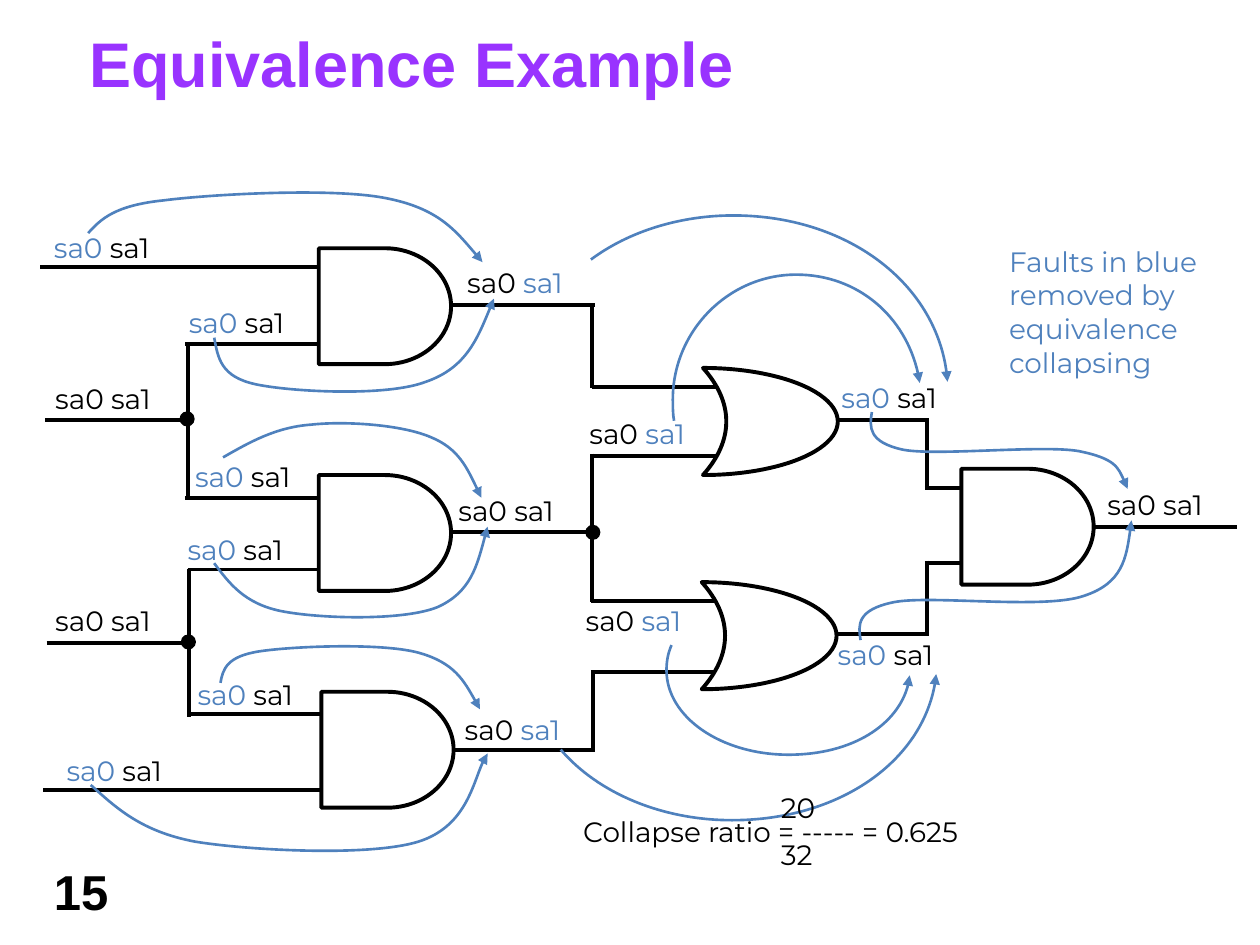
from lxml.etree import SubElement
from pptx import Presentation
from pptx.dml.color import RGBColor
from pptx.enum.shapes import MSO_CONNECTOR, MSO_SHAPE
from pptx.enum.text import MSO_ANCHOR, MSO_AUTO_SIZE, PP_ALIGN
from pptx.oxml.ns import qn
from pptx.util import Emu, Pt

PX = 9144  # EMU per px, 100 px to the inch
BLACK = RGBColor(0x00, 0x00, 0x00)
BLUE = RGBColor(0x4F, 0x81, 0xBD)
PURPLE = RGBColor(0x99, 0x33, 0xFF)
BODY_FONT, HEAD_FONT = "Montserrat", "Arial"

# Gates: left, top
AND_SIZE, OR_SIZE = (105, 92), (107, 85)
AND_GATES = [(253, 197), (253, 377), (255, 549), (763, 372)]
OR_GATES = [(558, 292), (557, 462)]

# Wires: from x, y to x, y
WIRES = [
    # Inputs
    (253, 212, 32, 212), (36, 333, 149, 333), (37, 510, 151, 510), (256, 627, 34, 627),
    # Input branches
    (149, 272, 149, 396), (147, 273, 254, 273), (147, 395, 254, 395),
    (150, 452, 150, 569), (149, 452, 254, 452), (149, 567, 255, 567),
    # First-level outputs to the OR gates
    (358, 242, 472, 242), (470, 243, 470, 308), (470, 307, 569, 307),
    (357, 422, 470, 422), (470, 360, 470, 478), (470, 362, 569, 362), (469, 477, 568, 477),
    (360, 595, 472, 595), (471, 532, 471, 596), (469, 533, 567, 533),
    # OR outputs to the last gate, and its output
    (665, 333, 737, 333), (736, 332, 736, 389), (734, 387, 763, 387),
    (663, 503, 737, 503), (736, 445, 736, 505), (734, 447, 763, 447),
    (868, 418, 982, 418),
]
DOT_SIZE = 11
DOTS = [(465, 417), (143, 327), (144, 504)]

# Fault labels: left, top, grouped by which fault is blue
LABEL_SIZE = (114, 37)
LABELS = [
    ([("sa0", BLUE), (" sa1", BLACK)],
     [(33, 178), (140, 238), (145, 360), (139, 418), (147, 533), (43, 593),
      (658, 297), (655, 501)]),
    ([("sa0 ", BLACK), ("sa1", BLUE)],
     [(361, 206), (359, 561), (458, 326), (455, 474)]),
    ([("sa0 sa1", BLACK)],
     [(34, 298), (34, 474), (354, 387), (869, 382)]),
]

# Equivalence arrows: start, then two control points and an end per Bezier segment
ARROWS = [
    [(535, 334), (534, 329), (534, 323), (534, 317), (534, 263), (578, 218), (632, 218),
     (681, 218), (723, 255), (730, 304)],
    [(469, 206), (500, 183), (541, 171), (582, 171), (672, 171), (747, 228), (752, 303)],
    [(533, 512), (530, 519), (529, 525), (529, 532), (529, 569), (572, 599), (626, 599),
     (677, 599), (719, 571), (722, 536)],
    [(445, 595), (475, 630), (526, 651), (581, 651), (667, 651), (737, 600), (743, 535)],
    [(692, 327), (690, 339), (689, 351), (717, 357), (744, 362), (827, 353), (856, 358),
     (886, 364), (890, 376), (895, 388)],
    [(683, 508), (681, 496), (680, 484), (709, 478), (738, 472), (828, 484), (860, 473),
     (891, 463), (895, 438), (898, 413)],
    [(70, 185), (80, 174), (91, 163), (130, 159), (169, 154), (263, 149), (305, 157),
     (348, 165), (365, 187), (383, 208)],
    [(170, 268), (173, 284), (175, 299), (203, 305), (231, 311), (307, 315), (338, 303),
     (370, 292), (381, 264), (392, 237)],
    [(175, 542), (177, 531), (180, 521), (206, 517), (232, 513), (302, 510), (332, 518),
     (361, 526), (371, 545), (381, 563)],
    [(72, 623), (92, 641), (112, 660), (155, 668), (198, 675), (293, 680), (332, 668),
     (370, 656), (378, 610), (387, 598)],
    [(177, 363), (198, 351), (219, 339), (247, 337), (274, 334), (319, 337), (342, 347),
     (364, 356), (373, 376), (382, 395)],
    [(170, 447), (182, 463), (194, 479), (223, 485), (253, 491), (319, 493), (347, 482),
     (374, 470), (380, 444), (387, 418)],
]

TITLE = "Equivalence Example"
NOTE = ["Faults in blue", "removed by", "equivalence", "collapsing"]
RATIO = [("20", 162), ("Collapse ratio = ----- = 0.625", 5), ("32", 162)]  # text, indent


def emu(*lengths):
    return [Emu(length * PX) for length in lengths]


def add_run(paragraph, text, color, size=16, font=BODY_FONT, bold=False):
    run = paragraph.add_run()
    run.text = text
    run.font.name, run.font.size, run.font.bold = font, Pt(size), bold
    run.font.color.rgb = color


def add_text_box(slide, box, wrap):
    frame = slide.shapes.add_textbox(*emu(*box)).text_frame
    frame.word_wrap = wrap
    frame.auto_size = MSO_AUTO_SIZE.SHAPE_TO_FIT_TEXT
    return frame


def next_paragraph(frame, index):
    return frame.add_paragraph() if index else frame.paragraphs[0]


def add_outline(slide, kind, box, width, fill=None):
    shape = slide.shapes.add_shape(kind, *emu(*box))
    shape.shadow.inherit = False
    if fill is None:
        shape.fill.background()
    else:
        shape.fill.solid()
        shape.fill.fore_color.rgb = fill
    shape.line.color.rgb, shape.line.width = BLACK, Pt(width)
    return shape


def add_wire(slide, ends):
    wire = slide.shapes.add_connector(MSO_CONNECTOR.STRAIGHT, *emu(*ends))
    wire.line.color.rgb, wire.line.width = BLACK, Pt(2.25)
    SubElement(wire._element.spPr, qn("a:effectLst"))


def add_curved_arrow(slide, points):
    builder = slide.shapes.build_freeform(*points[0], scale=PX)
    builder.add_line_segments(points[1:], close=False)
    shape = builder.convert_to_shape()
    shape.shadow.inherit = False
    shape.fill.background()
    shape.line.color.rgb, shape.line.width = BLUE, Pt(1.5)
    SubElement(shape.line._get_or_add_ln(), qn("a:tailEnd"), type="triangle")
    # Turn every three line segments into one Bezier segment
    outline = shape._element.xpath(".//a:path")[0]
    segments = outline.findall(qn("a:lnTo"))
    for index, segment in enumerate(segments):
        if index % 3 == 0:
            curve = SubElement(outline, qn("a:cubicBezTo"))
        curve.append(segment[0])
        outline.remove(segment)


def main():
    presentation = Presentation()
    presentation.slide_width, presentation.slide_height = emu(1000, 750)
    slide = presentation.slides.add_slide(presentation.slide_layouts[5])

    # Title and slide number
    title = slide.shapes.title
    title.left, title.top, title.width, title.height = emu(71, 18, 858, 63)
    frame = title.text_frame
    frame.margin_left = frame.margin_right = frame.margin_top = frame.margin_bottom = 0
    frame.auto_size, frame.vertical_anchor = MSO_AUTO_SIZE.NONE, MSO_ANCHOR.MIDDLE
    frame.paragraphs[0].alignment = PP_ALIGN.LEFT
    add_run(frame.paragraphs[0], TITLE, PURPLE, 36, HEAD_FONT, True)
    number = add_text_box(slide, (33, 679, 208, 50), True)
    add_run(number.paragraphs[0], "15", BLACK, 28, HEAD_FONT, True)

    # Circuit
    for corner in AND_GATES:
        add_outline(slide, MSO_SHAPE.FLOWCHART_DELAY, corner + AND_SIZE, 2.25)
    for corner in OR_GATES:
        gate = add_outline(slide, MSO_SHAPE.MOON, corner + OR_SIZE, 2.25)
        gate.adjustments[0] = 0.827
        gate._element.spPr.xfrm.set("flipH", "1")
    for ends in WIRES:
        add_wire(slide, ends)
    for corner in DOTS:
        add_outline(slide, MSO_SHAPE.OVAL, corner + (DOT_SIZE, DOT_SIZE), 0.75, BLACK)

    # Fault labels and equivalence arrows
    for runs, corners in LABELS:
        for corner in corners:
            label = add_text_box(slide, corner + LABEL_SIZE, False)
            for text, color in runs:
                add_run(label.paragraphs[0], text, color)
    for points in ARROWS:
        add_curved_arrow(slide, points)

    # Note and collapse ratio
    note = add_text_box(slide, (791, 189, 185, 118), False)
    for index, text in enumerate(NOTE):
        add_run(next_paragraph(note, index), text, BLUE)
    ratio = add_text_box(slide, (448, 630, 367, 68), True)
    for index, (text, indent) in enumerate(RATIO):
        paragraph = next_paragraph(ratio, index)
        paragraph.line_spacing = 0.7
        properties = paragraph._p.get_or_add_pPr()
        properties.set("marL", str(indent * PX))
        properties.set("indent", "0")
        add_run(paragraph, text, BLACK)

    presentation.save("out.pptx")


if __name__ == "__main__":
    main()
